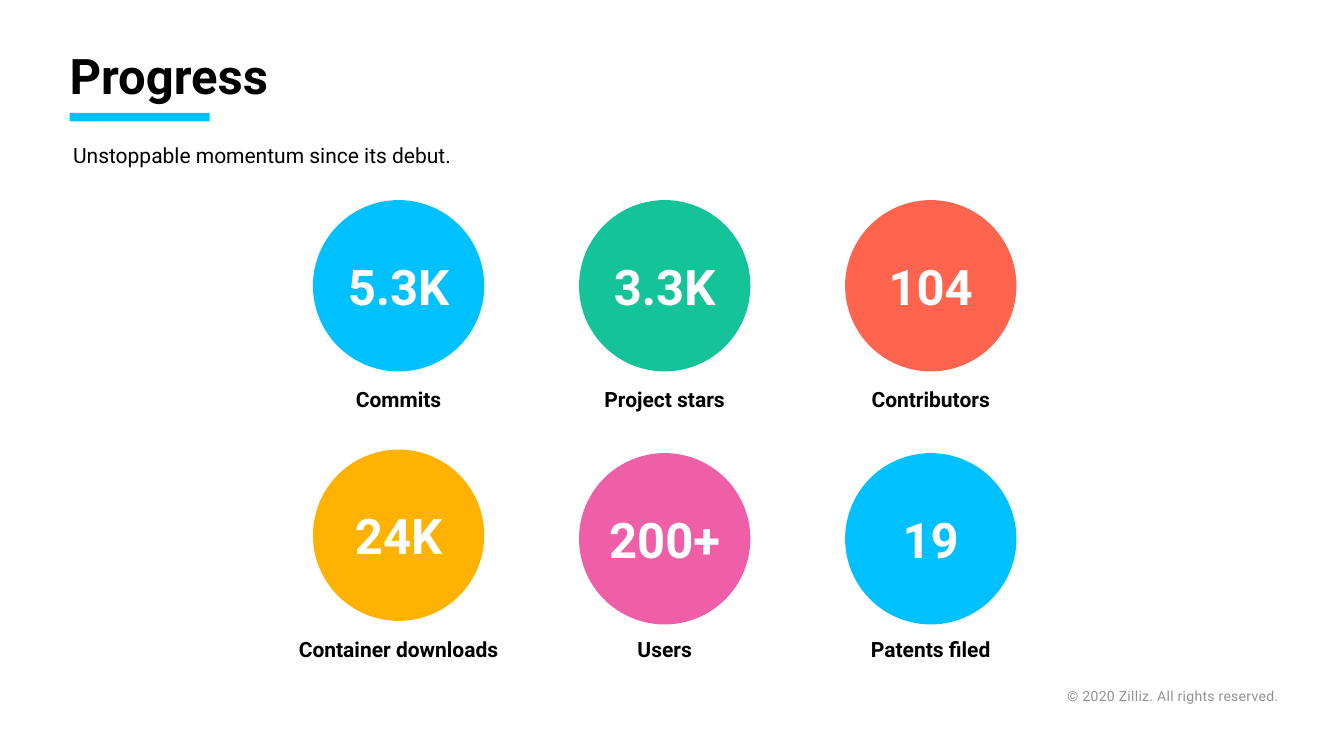
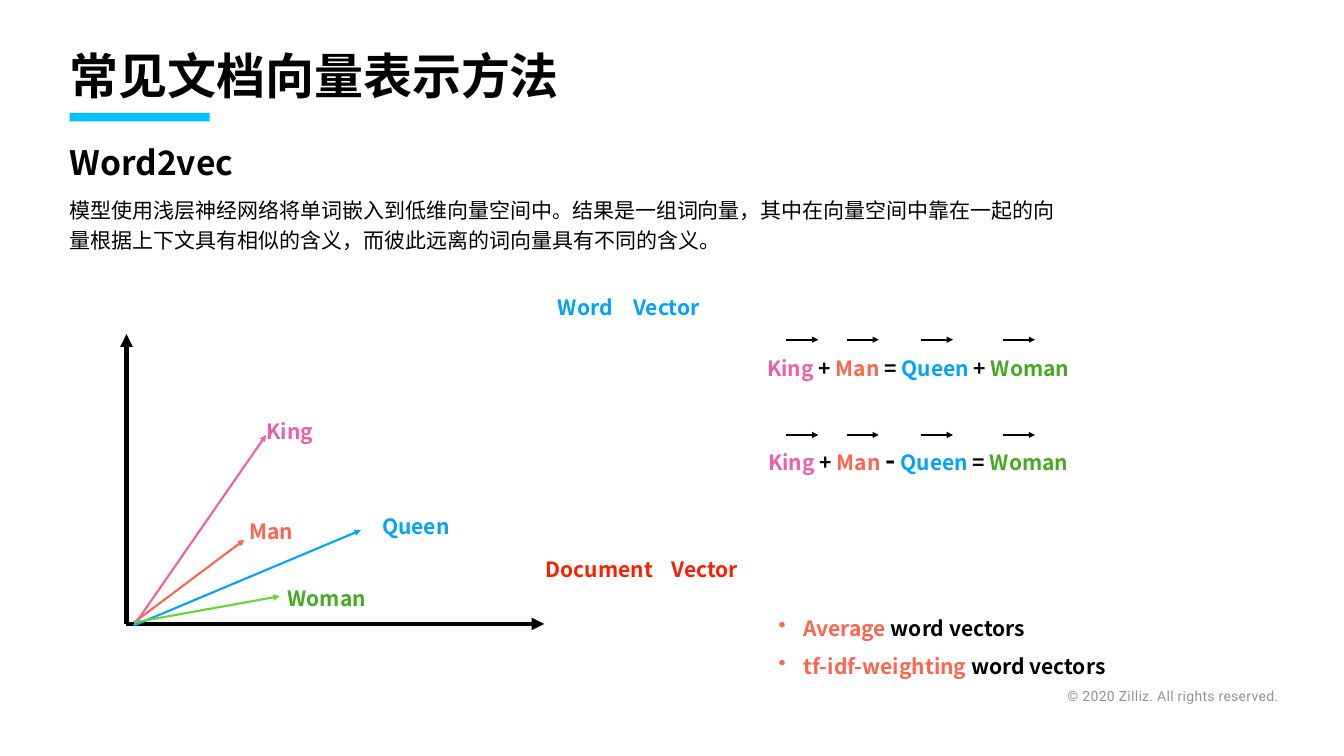
from dataclasses import dataclass

from lxml import etree
from pptx import Presentation
from pptx.dml.color import RGBColor
from pptx.enum import shapes, text
from pptx.oxml import ns
from pptx.util import Inches, Pt


@dataclass(frozen=True)
class Theme:
    latin: str = "Roboto"
    cjk: str = "Noto Sans CJK SC"
    black: str = "000000"
    white: str = "FFFFFF"
    grey: str = "929292"
    cyan: str = "00C1FF"
    teal: str = "14C397"
    coral: str = "FF644E"
    amber: str = "FFB200"
    pink: str = "EF5FA7"
    blue: str = "00A2FF"
    lime: str = "61D836"
    green: str = "45AA21"
    red: str = "FA1F00"
    title: int = 70
    heading: int = 48
    sign: int = 40
    body: int = 30
    stop: int = 28
    footer: int = 20


theme = Theme()
align = text.PP_ALIGN
anchors = text.MSO_ANCHOR


def write(box, paragraphs, size=theme.body, color=theme.black, bold=False,
          font=theme.latin, alignment=align.LEFT, anchor=anchors.MIDDLE,
          inset=(0.06, 0.06), wrap=True, line=None, before=0, spacing=None,
          bullet=None, tab=None):
    """Fill a shape; a span is a string or a pair of string and format."""
    frame = box.text_frame
    frame.word_wrap = wrap
    frame.auto_size = text.MSO_AUTO_SIZE.NONE
    frame.vertical_anchor = anchor
    frame.margin_left = frame.margin_right = Inches(inset[0])
    frame.margin_top = frame.margin_bottom = Inches(inset[1])
    for index, spans in enumerate(paragraphs):
        para = frame.add_paragraph() if index else frame.paragraphs[0]
        props = para._p.get_or_add_pPr()
        indent = Inches(0.5) if bullet else 0
        props.set("marL", str(indent))
        props.set("indent", str(-indent))
        if bullet:
            etree.SubElement(props, ns.qn("a:buChar"), char=bullet)
        else:
            etree.SubElement(props, ns.qn("a:buNone"))
        if tab:
            stops = etree.SubElement(props, ns.qn("a:tabLst"))
            etree.SubElement(stops, ns.qn("a:tab"), pos=str(Inches(tab)), algn="l")
        para.alignment = alignment
        para.space_before = Pt(before if index else 0)
        if line:
            para.line_spacing = line
        for item in spans:
            words, style = (item, {}) if isinstance(item, str) else item
            span = para.add_run()
            span.text = words
            span.font.size = Pt(style.get("size", size))
            span.font.bold = style.get("bold", bold)
            span.font.color.rgb = RGBColor.from_string(style.get("color", color))
            span.font.name = font
            run_props = span._r.get_or_add_rPr()
            etree.SubElement(run_props, ns.qn("a:ea"), typeface=font)
            if spacing:
                run_props.set("spc", str(spacing))


def draw_arrow(page, start, end, color=theme.black, width=3):
    arrow = page.shapes.add_connector(
        shapes.MSO_CONNECTOR.STRAIGHT, *map(Inches, start + end))
    arrow.line.color.rgb = RGBColor.from_string(color)
    arrow.line.width = Pt(width)
    props = arrow._element.spPr
    etree.SubElement(props.find(ns.qn("a:ln")), ns.qn("a:tailEnd"), type="triangle")
    etree.SubElement(props, ns.qn("a:effectLst"))


deck = Presentation()
deck.slide_width, deck.slide_height = Inches(26.67), Inches(15)

# Shared frame of both slides: title, band, footer and body place
pages = []
for title, font, body_place in (
        ("Progress", theme.latin, (1.39, 2.76, 12.5, 1.33)),
        ("常见文档向量表示方法", theme.cjk, (1.32, 2.59, 19.93, 2.86))):
    page = deck.slides.add_slide(deck.slide_layouts[1])
    pages.append(page)
    band = page.shapes.add_shape(
        shapes.MSO_SHAPE.RECTANGLE, *map(Inches, (1.38, 2.24, 2.78, 0.17)))
    band.shadow.inherit = False
    band.fill.solid()
    band.fill.fore_color.rgb = RGBColor.from_string(theme.cyan)
    band.line.fill.background()
    footer = page.shapes.add_textbox(*map(Inches, (16.06, 13.55, 9.37, 0.44)))
    write(footer, [["© 2020 Zilliz. All rights reserved."]], size=theme.footer,
          color=theme.grey, alignment=align.RIGHT, line=1.2, spacing=40)
    for box, place in ((page.shapes.title, (1.32, 0.71, 16.67, 1.57)),
                       (page.placeholders[1], body_place)):
        box.left, box.top, box.width, box.height = map(Inches, place)
    write(page.shapes.title, [[title]], size=theme.title, bold=True, font=font)

progress, vectors = pages

# Slide 1: two rows of figures in circles with captions below
write(progress.placeholders[1], [["Unstoppable momentum since its debut."]],
      anchor=anchors.TOP)
diameter = 3.4
figures = (
    ("5.3K", "Commits", theme.cyan, 3.97, 1.82),
    ("3.3K", "Project stars", theme.teal, 3.97, 2.47),
    ("104", "Contributors", theme.coral, 3.97, 2.47),
    ("24K", "Container downloads", theme.amber, 8.92, 4.34),
    ("200+", "Users", theme.pink, 8.99, 1.2),
    ("19", "Patents filed", theme.cyan, 8.99, 4.64),
)
for index, (figure, caption, color, top, width) in enumerate(figures):
    row, column = divmod(index, 3)
    left = 6.21 + 5.28 * column
    circle = progress.shapes.add_shape(
        shapes.MSO_SHAPE.OVAL, *map(Inches, (left, top, diameter, diameter)))
    circle.shadow.inherit = False
    circle.fill.solid()
    circle.fill.fore_color.rgb = RGBColor.from_string(color)
    circle.line.fill.background()
    write(circle, [[figure]], size=theme.title, color=theme.white, bold=True,
          alignment=align.CENTER, inset=(0, 0))
    label = progress.shapes.add_textbox(*map(Inches, (
        left + (diameter - width) / 2, 7.61 + 4.97 * row, width, 0.6)))
    write(label, [[caption]], bold=True, alignment=align.CENTER, wrap=False)

# Slide 2: explanation of the method
write(vectors.placeholders[1], [
    [("Word2vec", {"size": theme.heading, "bold": True})],
    ["模型使用浅层神经网络将单词嵌入到低维向量空间中",
     ("。", {"size": theme.stop}),
     "结果是一组词向量，其中在向量空间中靠在一起的向量根据上下文具有相似的含义，"
     "而彼此远离的词向量具有不同的含义。"],
], font=theme.cjk, anchor=anchors.TOP, line=1.2, before=15)

# Axes and the word vectors
origin = (2.51, 12.38)
for end in ((2.51, 6.63), (10.8, 12.38)):
    draw_arrow(vectors, origin, end, width=6)
word_vectors = (
    ("Man", 12.35, (4.85, 10.71), theme.coral, theme.coral, (4.85, 10.23, 1.06)),
    ("King", 12.41, (5.28, 8.63), theme.pink, theme.pink, (5.21, 8.25, 1.08)),
    ("Queen", 12.41, (7.16, 10.52), theme.blue, theme.blue, (7.51, 10.12, 1.49)),
    ("Woman", 12.35, (5.55, 11.83), theme.lime, theme.green, (5.6, 11.56, 1.77)),
)
for word, start_y, tip, line_color, word_color, place in word_vectors:
    draw_arrow(vectors, (2.66, start_y), tip, line_color)
    label = vectors.shapes.add_textbox(*map(Inches, place + (0.62,)))
    write(label, [[word]], color=word_color, bold=True, font=theme.cjk,
          alignment=align.CENTER, wrap=False)

# Equations with a vector arrow above each word
king, man, queen, woman = (
    {"color": color} for color in (theme.pink, theme.coral, theme.blue, theme.green))
equations = (
    ((14.77, 7, 7, 0.61), 6.74,
     [("King", king), " + ", ("Man", man), " = ", ("Queen", queen), " + ",
      ("Woman ", woman)]),
    ((14.75, 8.73, 7.04, 0.77), 8.63,
     [("King", king), " + ", ("Man ", man), ("-", {"size": theme.sign}), " ",
      ("Queen ", queen), "= ", ("Woman ", woman)]),
)
for place, arrow_y, spans in equations:
    equation = vectors.shapes.add_textbox(*map(Inches, place))
    write(equation, [spans], bold=True, font=theme.cjk, alignment=align.CENTER,
          anchor=anchors.TOP, inset=(0.1, 0.05), wrap=False)
    for arrow_x in (15.6, 16.8, 18.27, 19.9):
        draw_arrow(vectors, (arrow_x, arrow_y), (arrow_x + 0.64, arrow_y))

# Section labels
for words, place, color, tab in (
        ("Word\tVector", (11.01, 5.79, 3.98, 0.62), theme.blue, 1.57),
        ("Document\tVector", (10.77, 10.98, 3.96, 0.62), theme.red, 2.32)):
    label = vectors.shapes.add_textbox(*map(Inches, place))
    write(label, [[words]], color=color, bold=True, font=theme.cjk, tab=tab)

# Ways to build a document vector
methods = vectors.shapes.add_textbox(*map(Inches, (15.35, 11.91, 7.79, 1.53)))
accent = {"color": theme.coral}
write(methods, [
    [("Average ", accent), "word vectors"],
    [("tf-idf-weighting", accent), " word vectors"],
], bold=True, font=theme.cjk, anchor=anchors.TOP, inset=(0.1, 0.05), line=1.5,
    bullet="•")

deck.save("out.pptx")
